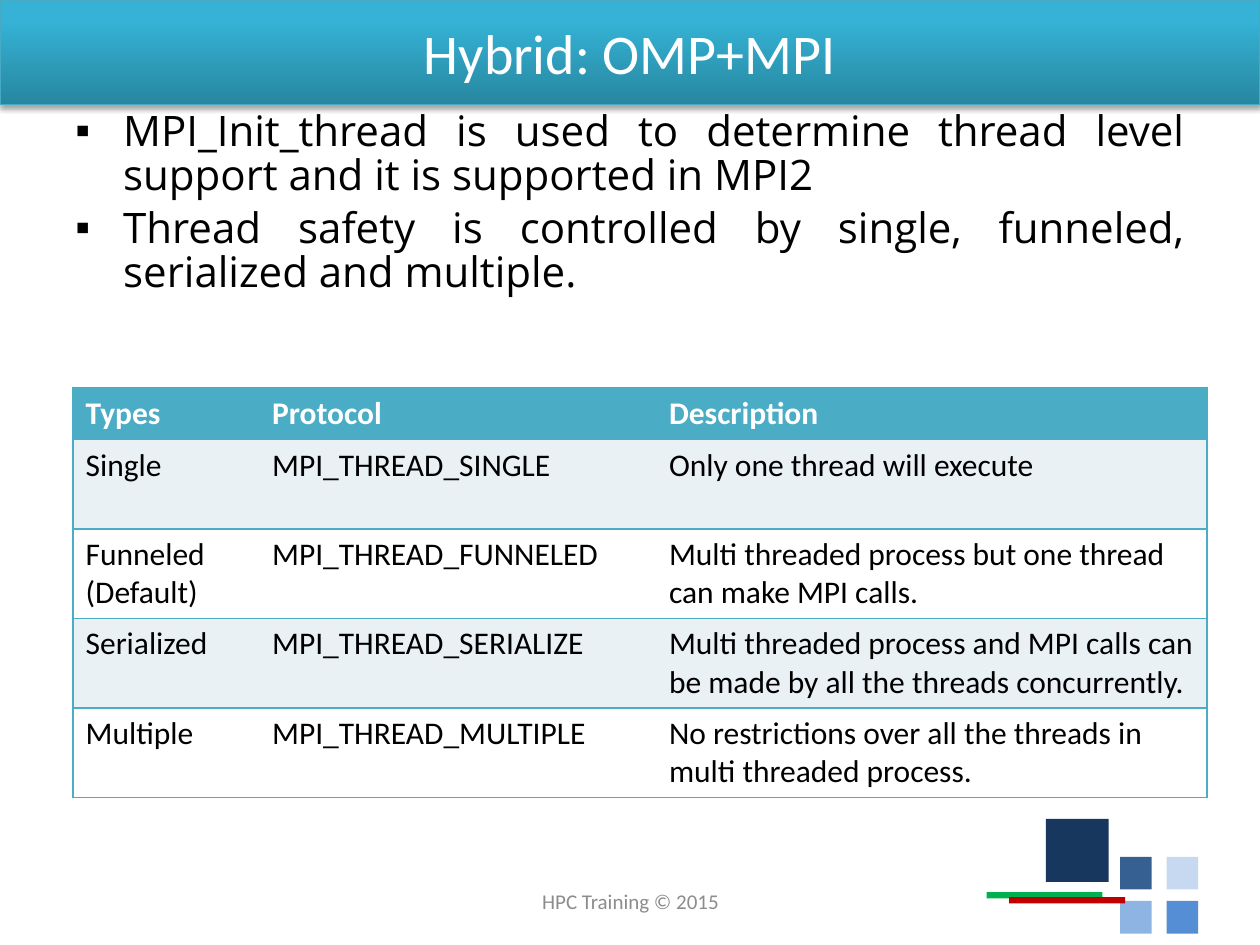
from lxml import etree
from pptx import Presentation
from pptx.dml.color import RGBColor
from pptx.enum.shapes import MSO_SHAPE
from pptx.enum.text import MSO_ANCHOR, PP_ALIGN
from pptx.oxml.ns import qn
from pptx.util import Inches, Pt

RECT = MSO_SHAPE.RECTANGLE
MIDDLE = MSO_ANCHOR.MIDDLE
CENTER, JUSTIFY = PP_ALIGN.CENTER, PP_ALIGN.JUSTIFY

WHITE = RGBColor(0xFF, 0xFF, 0xFF)
BLACK = RGBColor(0, 0, 0)
GRAY = RGBColor(0x8C, 0x8C, 0x8C)
TEAL = RGBColor(0x4B, 0xAC, 0xC6)
TEAL_LINE = RGBColor(0x46, 0xAA, 0xC5)
TEAL_LIGHT = RGBColor(0x35, 0xB2, 0xD5)
TEAL_DARK = RGBColor(0x27, 0x87, 0xA0)
BAND = RGBColor(0xE9, 0xF1, 0xF5)
NAVY = RGBColor(0x17, 0x37, 0x5E)
GREEN = RGBColor(0x00, 0xB0, 0x50)
RED = RGBColor(0xC0, 0, 0)
TILES = [[RGBColor(0x37, 0x60, 0x92), RGBColor(0xC6, 0xD9, 0xF1)],
         [RGBColor(0x8E, 0xB4, 0xE3), RGBColor(0x55, 0x8E, 0xD5)]]

NO_TABLE_STYLE = "{2D5ABB26-0587-4C30-8999-92F81FD0307C}"
BULLETS = [
    "MPI_Init_thread is used to determine thread level support and it is supported in MPI2",
    "Thread safety is controlled by single, funneled, serialized and multiple.",
]
COLUMN_WIDTHS = [1.48, 3.15, 4.37]
ROWS = [
    ("Types", "Protocol", "Description"),
    ("Single", "MPI_THREAD_SINGLE", "Only one thread will execute"),
    ("Funneled\v(Default)", "MPI_THREAD_FUNNELED",
     "Multi threaded process but one thread can make MPI calls."),
    ("Serialized", "MPI_THREAD_SERIALIZE",
     "Multi threaded process and MPI calls can be made by all the threads concurrently."),
    ("Multiple", "MPI_THREAD_MULTIPLE",
     "No restrictions over all the threads in multi threaded process."),
]


def format_runs(p, size, color, font="Calibri", bold=False):
    for r in p.runs:
        r.font.size = Pt(size)
        r.font.name = font
        r.font.bold = bold
        r.font.color.rgb = color


def add_block(s, left, top, width, height, color):
    sp = s.shapes.add_shape(RECT, Inches(left), Inches(top), Inches(width), Inches(height))
    sp.shadow.inherit = False
    sp.fill.solid()
    sp.fill.fore_color.rgb = color
    sp.line.fill.background()


def add_decoration(s):
    add_block(s, 8.3, 6.5, 0.5, 0.5, NAVY)
    for i, colors in enumerate(TILES):
        for j, color in enumerate(colors):
            add_block(s, 8.89 + 0.37 * j, 6.8 + 0.35 * i, 0.25, 0.26, color)
    add_block(s, 7.83, 7.08, 0.92, 0.05, GREEN)
    add_block(s, 8.01, 7.12, 0.92, 0.05, RED)


def add_shadow(sp):
    sp.shadow.inherit = False
    effects = sp.element.spPr.find(qn("a:effectLst"))
    shadow = etree.SubElement(effects, qn("a:outerShdw"), blurRad=str(Pt(3.1)),
                              dist=str(Pt(1.8)), dir="5400000", rotWithShape="0")
    color = etree.SubElement(shadow, qn("a:srgbClr"), val="000000")
    etree.SubElement(color, qn("a:alpha"), val="35000")


def format_title(s):
    sp = s.shapes.title
    sp.left, sp.top, sp.width, sp.height = 0, 0, Inches(10), Inches(0.83)
    sp.fill.gradient()
    sp.fill.gradient_angle = 270
    for stop, position, color in zip(sp.fill.gradient_stops, (0.2, 1), (TEAL_LIGHT, TEAL_DARK)):
        stop.position = position
        stop.color.rgb = color
    sp.line.color.rgb = TEAL_LINE
    sp.line.width = Pt(0.75)
    add_shadow(sp)
    tf = sp.text_frame
    tf.text = "Hybrid: OMP+MPI"
    tf.vertical_anchor = MIDDLE
    tf.paragraphs[0].alignment = CENTER
    format_runs(tf.paragraphs[0], 32, WHITE)


def add_text(s, left, top, width, height):
    sp = s.shapes.add_textbox(Inches(left), Inches(top), Inches(width), Inches(height))
    sp.text_frame.word_wrap = True
    return sp.text_frame


def add_bullets(s):
    tf = add_text(s, 0.5, 0.83, 9, 5.58)
    tf.text = "\n".join(BULLETS)
    for p in tf.paragraphs:
        p.alignment = JUSTIFY
        p.line_spacing = 0.88
        p.space_before = Pt(4.8)
        pPr = p._p.get_or_add_pPr()
        pPr.set("marL", str(Inches(0.38)))
        pPr.set("indent", str(Inches(-0.38)))
        etree.SubElement(pPr, qn("a:buFont"), typeface="Wingdings")
        etree.SubElement(pPr, qn("a:buChar"), char="\u25aa")
        pPr.find(qn("a:buFont")).set("typeface", "Arial")
        format_runs(p, 24, BLACK, "Open Sans")


def add_footer(s):
    tf = add_text(s, 3.42, 6.95, 3.17, 0.4)
    tf.text = "HPC Training \u00a9 2015"
    tf.vertical_anchor = MIDDLE
    tf.paragraphs[0].alignment = CENTER
    format_runs(tf.paragraphs[0], 12, GRAY)


def set_borders(cell, sides):
    tcPr = cell._tc.get_or_add_tcPr()
    for i, side in enumerate(sides):
        ln = etree.Element(qn("a:ln" + side), w=str(Pt(1)))
        fill = etree.SubElement(ln, qn("a:solidFill"))
        etree.SubElement(fill, qn("a:srgbClr"), val=str(TEAL))
        tcPr.insert(i, ln)


def add_thread_table(s):
    heights = [0.41] + [0.71] * (len(ROWS) - 1)
    frame = s.shapes.add_table(len(ROWS), len(COLUMN_WIDTHS), Inches(0.58), Inches(3.08),
                               Inches(sum(COLUMN_WIDTHS)), Inches(sum(heights)))
    table = frame.table
    table._tbl.tblPr.find(qn("a:tableStyleId")).text = NO_TABLE_STYLE
    for column, width in zip(table.columns, COLUMN_WIDTHS):
        column.width = Inches(width)
    for i, (height, texts) in enumerate(zip(heights, ROWS)):
        table.rows[i].height = Inches(height)
        header = i == 0
        color = TEAL if header else BAND if i % 2 else WHITE
        for j, text in enumerate(texts):
            cell = table.cell(i, j)
            cell.text = text
            cell.fill.solid()
            cell.fill.fore_color.rgb = color
            set_borders(cell, ("LTB", "TB", "RTB")[j])
            format_runs(cell.text_frame.paragraphs[0], 18, WHITE if header else BLACK, bold=header)


def main():
    prs = Presentation()
    prs.slide_width, prs.slide_height = Inches(10), Inches(7.5)
    s = prs.slides.add_slide(prs.slide_layouts[5])
    add_decoration(s)
    format_title(s)
    add_bullets(s)
    add_footer(s)
    add_thread_table(s)
    prs.save("out.pptx")


main()
